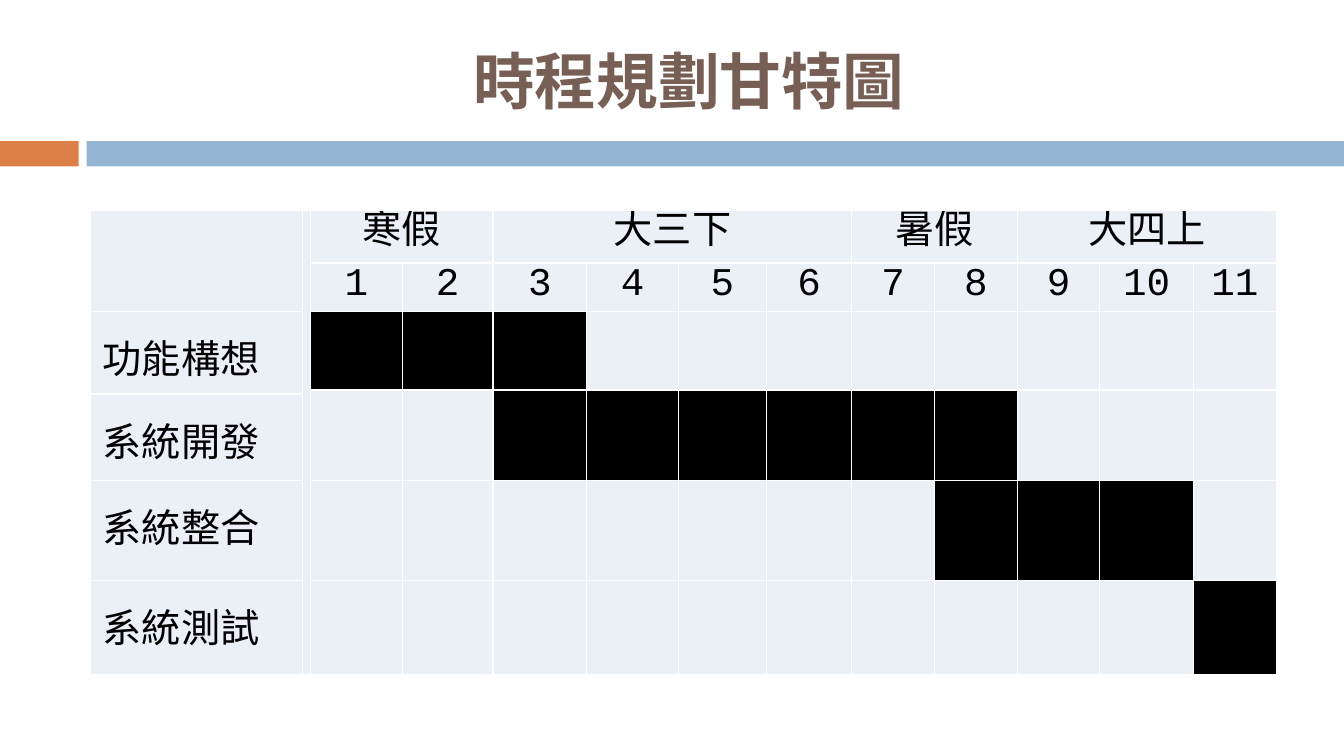
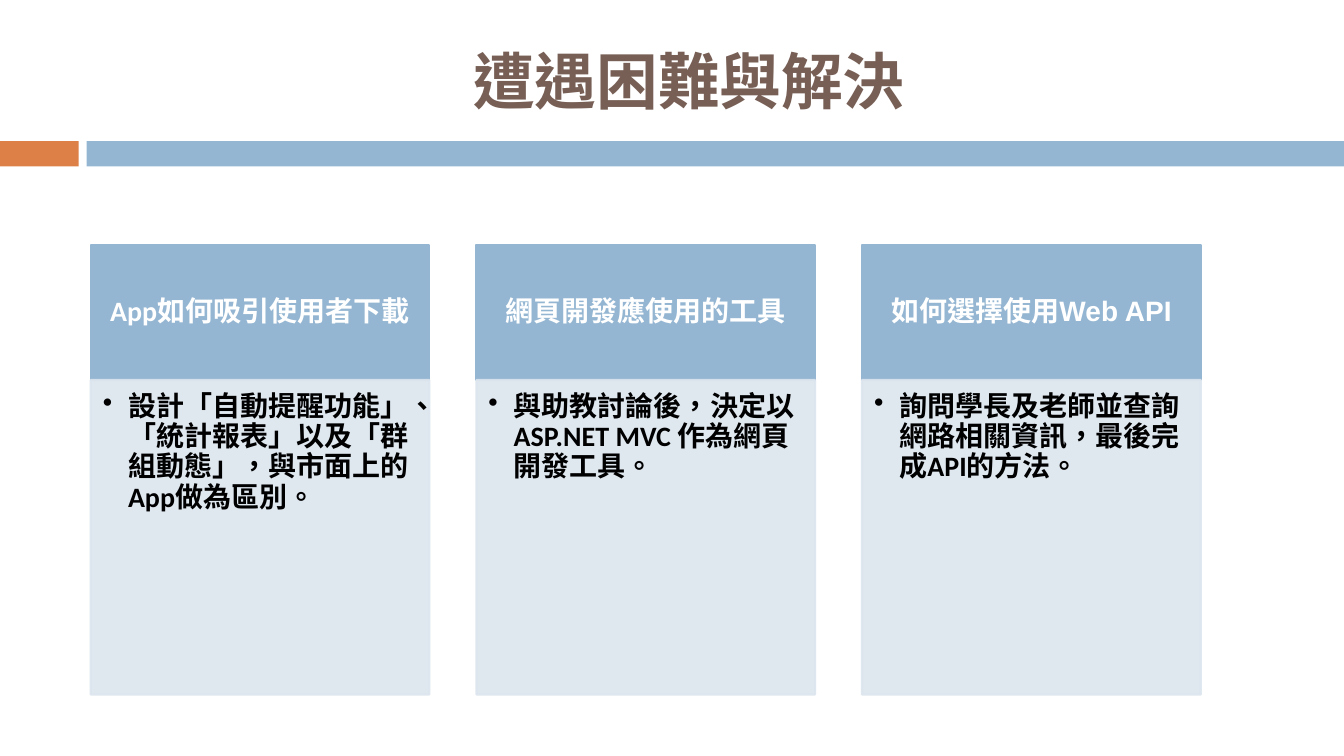
from dataclasses import dataclass
from lxml import etree
from pptx import Presentation
from pptx import util as u
from pptx.dml.color import RGBColor
from pptx.enum import shapes, text
from pptx.oxml import parse_xml
from pptx.oxml.ns import nsdecls, qn

WIDE, HIGH = 13.33, 7.5
LEFT = 0.89
ORANGE, BLUE, BROWN = "DD8047", "94B6D2", "775F55"
PALE, SOFT, BLACK, WHITE = "EAF0F6", "DCE5EE", "000000", "FFFFFF"
SANS, MONO, BODY = "Noto Sans CJK SC", "Courier New", "Calibri"
MID, TOP = text.MSO_ANCHOR.MIDDLE, text.MSO_ANCHOR.TOP
CENTER, START = text.PP_ALIGN.CENTER, text.PP_ALIGN.LEFT

COLS = [2.1, 0.08, 0.91, 0.9, 0.93, 0.91, 0.87, 0.85, 0.82, 0.82, 0.82, 0.93, 0.82]
ROWS = [0.52, 0.48, 0.78, 0.04, 0.86, 0.99, 0.93]
FIRST = 2  # column of month 1


@dataclass(frozen=True)
class Term:
    name: str
    start: int
    end: int


@dataclass(frozen=True)
class Task:
    """A bar over months; label and bar each span a first and last table row."""
    name: str
    label: tuple[int, int]
    bar: tuple[int, int]
    start: int
    end: int


@dataclass(frozen=True)
class Card:
    head: str
    body: str
    font: str = BODY


TERMS = [Term("寒假", 1, 2), Term("大三下", 3, 6), Term("暑假", 7, 8), Term("大四上", 9, 11)]
TASKS = [
    Task("功能構想", (2, 3), (2, 2), 1, 3),
    Task("系統開發", (4, 4), (3, 4), 3, 8),
    Task("系統整合", (5, 5), (5, 5), 8, 10),
    Task("系統測試", (6, 6), (6, 6), 11, 11),
]
CARDS = [
    Card("App如何吸引使用者下載",
         "設計「自動提醒功能」、「統計報表」以及「群組動態」，與市面上的App做為區別。"),
    Card("網頁開發應使用的工具", "與助教討論後，決定以ASP.NET MVC 作為網頁開發工具。"),
    Card("如何選擇使用Web API", "詢問學長及老師並查詢網路相關資訊，最後完成API的方法。", "Arial"),
]


def rgb(code: str) -> RGBColor:
    return RGBColor.from_string(code)


def write(frame, words: str, *, size=20, font=BODY, color=BLACK, bold=False,
          align=START, lead=None, bullet=False) -> None:
    frame.word_wrap = True
    para = frame.paragraphs[0]
    para.alignment = align
    if lead:
        para.line_spacing = lead
    if bullet:
        props = para._p.get_or_add_pPr()
        props.set("marL", str(u.Inches(0.25)))
        props.set("indent", str(u.Inches(-0.25)))
        etree.SubElement(props, qn("a:buChar")).set("char", "•")
    run = para.add_run()
    run.text = words
    run.font.size, run.font.bold, run.font.name = u.Pt(size), bold, font
    run.font.color.rgb = rgb(color)
    props = run._r.get_or_add_rPr()
    props.set("lang", "zh-TW")
    props.find(qn("a:latin")).addnext(
        parse_xml(f'<a:ea {nsdecls("a")} typeface="{SANS}"/>'))


def inset(box, left: float, top: float, right: float, low: float) -> None:
    box.margin_left, box.margin_top = u.Inches(left), u.Inches(top)
    box.margin_right, box.margin_bottom = u.Inches(right), u.Inches(low)


def fade(shape, share: int) -> None:
    """Set the opacity, in percent, of a shape's fill and line."""
    for tint in shape._element.spPr.iter(qn("a:srgbClr")):
        etree.SubElement(tint, qn("a:alpha")).set("val", str(share * 1000))


def block(slide, x: float, y: float, w: float, h: float, color: str, line=0.0):
    shape = slide.shapes.add_shape(
        shapes.MSO_SHAPE.RECTANGLE, *map(u.Inches, (x, y, w, h)))
    shape.shadow.inherit = False
    shape.fill.solid()
    shape.fill.fore_color.rgb = rgb(color)
    if line:
        shape.line.color.rgb = rgb(color)
        shape.line.width = u.Pt(line)
    else:
        shape.line.fill.background()
    return shape


def start(deck, title: str):
    """Add a slide with the shared band and title."""
    slide = deck.slides.add_slide(deck.slide_layouts[6])
    block(slide, 0, 1.4, 0.78, 0.25, ORANGE)
    block(slide, 0.86, 1.4, WIDE - 0.86, 0.25, BLUE)
    box = slide.shapes.add_textbox(*map(u.Inches, (LEFT, 0.25, 11.89, 1.08)))
    box.text_frame.vertical_anchor = MID
    write(box.text_frame, title, size=44, font=SANS, color=BROWN, bold=True, align=CENTER)
    return slide


def paint(cell, color: str) -> None:
    cell.fill.solid()
    cell.fill.fore_color.rgb = rgb(color)


def edge(cell) -> None:
    props = cell._tc.get_or_add_tcPr()
    for i, side in enumerate("LRTB"):
        props.insert(i, parse_xml(
            f'<a:ln{side} {nsdecls("a")} w="12700"><a:solidFill>'
            f'<a:srgbClr val="{WHITE}"/></a:solidFill></a:ln{side}>'))


def join(table, rows: tuple[int, int], cols: tuple[int, int]):
    """Merge a block of cells, where it has more than one, and return its first."""
    cell = table.cell(rows[0], cols[0])
    if rows[0] != rows[1] or cols[0] != cols[1]:
        cell.merge(table.cell(rows[1], cols[1]))
    return cell


def label(cell, words: str, drop: float, lead: int, left=0.02, align=CENTER) -> None:
    inset(cell, left, drop, 0.02, 0)
    write(cell.text_frame, words, size=28, font=MONO, align=align, lead=u.Pt(lead))


def gantt(slide) -> None:
    table = slide.shapes.add_table(
        len(ROWS), len(COLS),
        *map(u.Inches, (LEFT + 0.01, 2.09, sum(COLS), sum(ROWS)))).table
    table.first_row = table.horz_banding = False
    for col, wide in zip(table.columns, COLS):
        col.width = u.Inches(wide)
    for row, high in zip(table.rows, ROWS):
        row.height = u.Inches(high)
    for cell in table.iter_cells():
        paint(cell, PALE)
        edge(cell)
        inset(cell, 0.02, 0, 0.02, 0)
    join(table, (0, 1), (0, 0))
    join(table, (0, len(ROWS) - 1), (1, 1))
    shift = FIRST - 1
    for term in TERMS:
        cell = join(table, (0, 0), (term.start + shift, term.end + shift))
        label(cell, term.name, 0.22, 16)
    months = range(1, len(COLS) - shift)
    for month in months:
        label(table.cell(1, month + shift), str(month), 0.22, 16)
    for task in TASKS:
        cell = join(table, task.label, (0, 0))
        label(cell, task.name, 0.45, 20, left=0.12, align=START)
        for month in months:
            cell = join(table, task.bar, (month + shift, month + shift))
            if task.start <= month <= task.end:
                paint(cell, BLACK)


def cards(slide) -> None:
    wide, pitch, top, head, body = 3.36, 3.825, 2.43, 1.34, 3.12
    for i, card in enumerate(CARDS):
        x = LEFT + 0.01 + i * pitch
        cap = block(slide, x, top, wide, head, BLUE, line=1.5)
        cap.text_frame.vertical_anchor = MID
        inset(cap.text_frame, 0.16, 0.09, 0.16, 0.09)
        write(cap.text_frame, card.head, font=card.font, color=WHITE, bold=True,
              align=CENTER, lead=0.9)
        base = block(slide, x, top + head, wide, body, SOFT, line=1.5)
        fade(base, 90)
        base.text_frame.vertical_anchor = TOP
        inset(base.text_frame, 0.12, 0.12, 0.16, 0.17)
        write(base.text_frame, card.body, bold=True, lead=0.9, bullet=True)


def main() -> None:
    deck = Presentation()
    deck.slide_width, deck.slide_height = u.Inches(WIDE), u.Inches(HIGH)
    gantt(start(deck, "時程規劃甘特圖"))
    cards(start(deck, "遭遇困難與解決"))
    deck.save("out.pptx")


if __name__ == "__main__":
    main()
